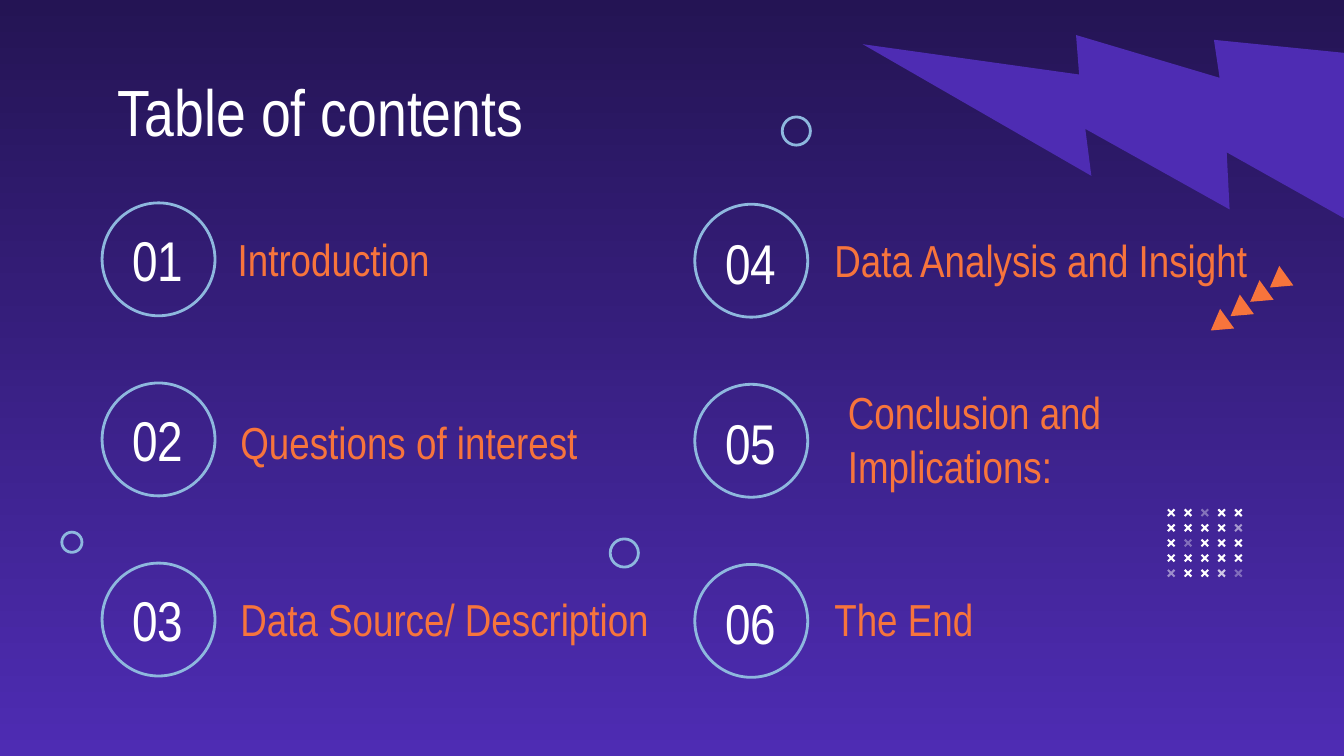
from lxml import etree
from pptx import Presentation
from pptx import util as u
from pptx.dml import color
from pptx.enum import shapes, text
from pptx.oxml import ns

COLORS = {
    "night": "241454",
    "violet": "4E2CB3",
    "ring": "8EB8DE",
    "accent": "F7743C",
    "white": "FFFFFF",
}

ENTRIES = [
    [("Introduction", 1.67, 1.74),
     ("Questions of interest", 1.69, 3.1),
     ("Data Source/ Description", 1.69, 4.42)],
    [("Data Analysis and Insight", 6.11, 1.75),
     ("Conclusion and Implications:", 6.21, 3.08),
     ("The End", 6.11, 4.42)],
]
COLUMNS = [(0.76, 1.51, 1.45), (5.17, 1.52, 1.47)]
ROW_STEP = 1.34
SMALL_RINGS = [(0.46, 3.96, 0.15), (5.82, 0.87, 0.21), (4.54, 4.01, 0.21)]
CROSS_OPACITY = [
    [100, 100, 36, 100, 100],
    [100, 100, 100, 100, 53],
    [100, 34, 100, 100, 100],
    [100, 100, 100, 100, 100],
    [48, 100, 100, 75, 33],
]


class Deck:
    font = "Arial Narrow"
    inset = 0.1
    ring_width = 1.5

    def __init__(self, slide):
        self.slide = slide

    def rgb(self, name):
        return color.RGBColor.from_string(COLORS[name])

    def background(self, top, bottom):
        fill = self.slide.background.fill
        fill.gradient()
        fill.gradient_angle = 270
        for stop, name, position in zip(fill.gradient_stops, (top, bottom), (0, 1)):
            stop.color.rgb = self.rgb(name)
            stop.position = position

    def shape(self, kind, x, y, w, h, rotation=0):
        sp = self.slide.shapes.add_shape(
            kind, u.Inches(x), u.Inches(y), u.Inches(w), u.Inches(h))
        sp.shadow.inherit = False
        sp.rotation = rotation
        return sp

    def solid(self, kind, x, y, w, h, name, rotation=0, opacity=100):
        sp = self.shape(kind, x, y, w, h, rotation)
        sp.fill.solid()
        sp.fill.fore_color.rgb = self.rgb(name)
        sp.line.fill.background()
        if opacity < 100:
            clr = sp._element.spPr.find(".//" + ns.qn("a:srgbClr"))
            etree.SubElement(clr, ns.qn("a:alpha"), val=str(opacity * 1000))
        return sp

    def ring(self, x, y, size):
        sp = self.shape(shapes.MSO_SHAPE.OVAL, x, y, size, size)
        sp.fill.background()
        sp.line.color.rgb = self.rgb("ring")
        sp.line.width = u.Pt(self.ring_width)

    def label(self, words, x, y, w, h, size, name,
              align=text.PP_ALIGN.LEFT, anchor=text.MSO_ANCHOR.MIDDLE):
        sp = self.slide.shapes.add_textbox(
            u.Inches(x), u.Inches(y), u.Inches(w), u.Inches(h))
        tf = sp.text_frame
        tf.word_wrap = True
        tf.vertical_anchor = anchor
        tf.margin_left = tf.margin_right = u.Inches(self.inset)
        tf.margin_top = tf.margin_bottom = u.Inches(self.inset)
        tf.text = words
        p = tf.paragraphs[0]
        p.alignment = align
        r = p.runs[0]
        r.font.name = self.font
        r.font.size = u.Pt(size)
        r.font.color.rgb = self.rgb(name)


def main():
    prs = Presentation()
    prs.slide_width = u.Inches(10)
    prs.slide_height = u.Inches(10 * 9 / 16)
    deck = Deck(prs.slides.add_slide(prs.slide_layouts[6]))
    deck.background("night", "violet")

    bolt = deck.solid(shapes.MSO_SHAPE.LIGHTNING_BOLT,
                      7, -0.68, 3.17, 3.17, "violet", 59.9)
    bolt._element.spPr.xfrm.set("flipH", "1")

    deck.label("Table of contents", 0.78, 0.43, 8.43, 0.64, 35, "white",
               anchor=text.MSO_ANCHOR.TOP)

    number = 0
    for (left, ring_top, number_top), entries in zip(COLUMNS, ENTRIES):
        for row, (words, x, y) in enumerate(entries):
            number += 1
            drop = row * ROW_STEP
            deck.ring(left, ring_top + drop, 0.84)
            deck.label(f"{number:02d}", left - 0.03, number_top + drop, 0.89, 0.96,
                       30, "white", align=text.PP_ALIGN.CENTER)
            deck.label(words, x, y, 3.41, 0.37, 24, "accent")

    for row, opacities in enumerate(CROSS_OPACITY):
        for col, opacity in enumerate(opacities):
            cross = deck.solid(shapes.MSO_SHAPE.CROSS,
                               8.68 + col * 0.5 / 4, 3.78 + row * 0.45 / 4,
                               0.07, 0.07, "white", 315, opacity)
            cross.adjustments[0] = 0.39

    for x, y, size in SMALL_RINGS:
        deck.ring(x, y, size)

    for i in range(4):
        deck.solid(shapes.MSO_SHAPE.ISOSCELES_TRIANGLE,
                   9.42 - i * 0.44 / 3, 2.02 + i * 0.32 / 3,
                   0.18, 0.15, "accent", 234.2)

    prs.save("out.pptx")


if __name__ == "__main__":
    main()
